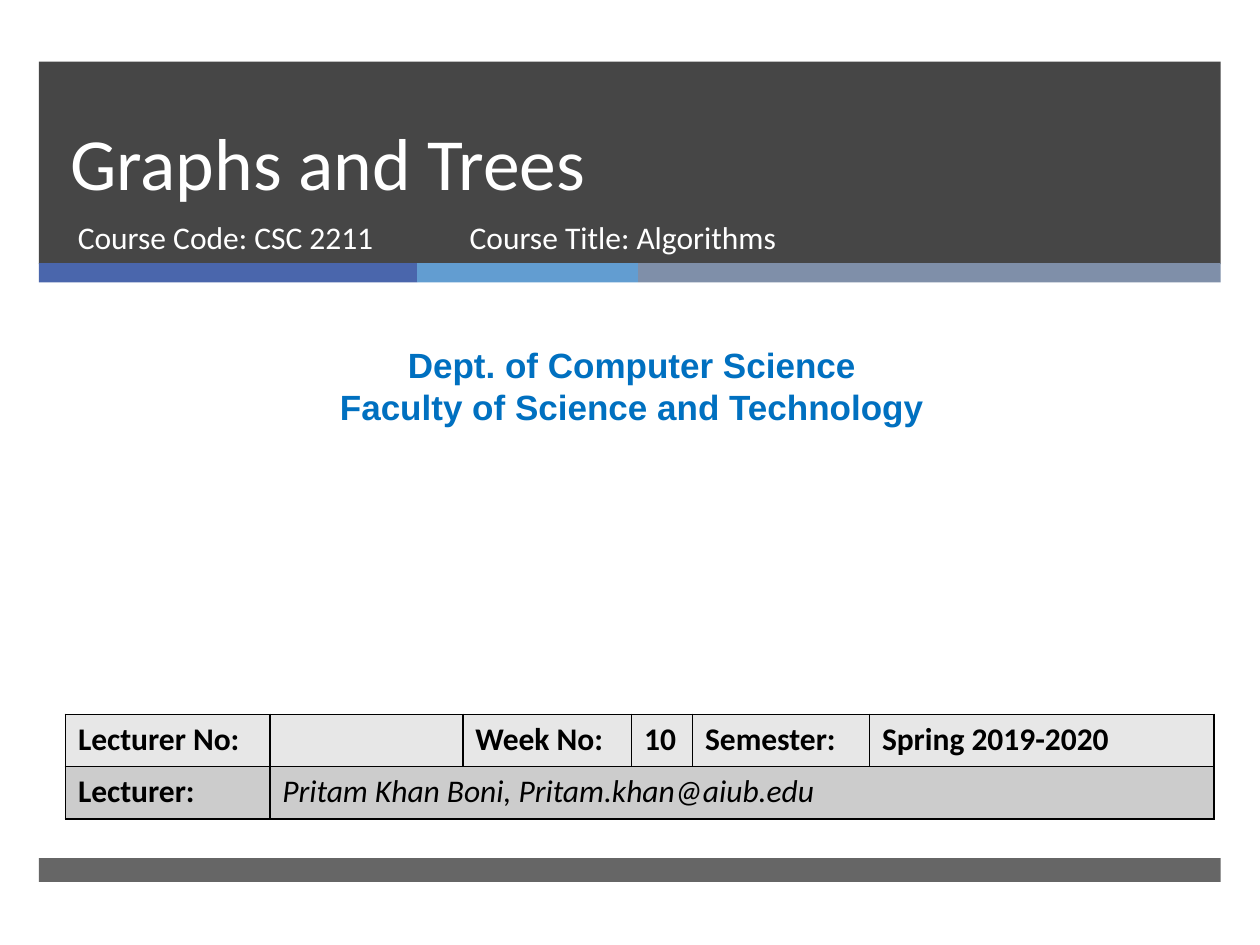
from dataclasses import dataclass

from lxml import etree
from pptx import Presentation
from pptx.dml.color import RGBColor
from pptx.enum import shapes, text
from pptx.oxml import ns
from pptx.util import Pt


@dataclass(frozen=True)
class Theme:
    """Colours, fonts and type sizes of the deck."""
    dark: str = "262626"
    accents: tuple = ("4A66AC", "629DD1", "7F8FA9")
    white: str = "FFFFFF"
    black: str = "000000"
    department: str = "0070C0"
    table_rows: tuple = ("E7E7E7", "CCCCCC")
    body_font: str = "Calibri"
    department_font: str = "Arial"
    title_size: float = 42
    title_leading: float = 46
    department_size: float = 20
    body_size: float = 18


THEME = Theme()


def add_band(slide, box, color, opacity=100):
    """Draw a plain filled rectangle, opacity in percent."""
    band = slide.shapes.add_shape(shapes.MSO_SHAPE.RECTANGLE, *map(Pt, box))
    band.shadow.inherit = False
    band.line.fill.background()
    band.fill.solid()
    band.fill.fore_color.rgb = RGBColor.from_string(color)
    if opacity < 100:
        tint = band.fill._xPr.find(".//" + ns.qn("a:srgbClr"))
        etree.SubElement(tint, ns.qn("a:alpha"), val=str(opacity * 1000))


def write(paragraph, words, color, size=THEME.body_size, font=THEME.body_font,
          bold=False, italic=False):
    """Add one styled run to a paragraph."""
    run = paragraph.add_run()
    run.text = words
    run.font.name, run.font.size = font, Pt(size)
    run.font.bold, run.font.italic = bold, italic
    run.font.color.rgb = RGBColor.from_string(color)


def add_frame(slide, box, anchor=text.MSO_ANCHOR.TOP):
    """Add a wrapping text box and return its text frame."""
    frame = slide.shapes.add_textbox(*map(Pt, box)).text_frame
    frame.word_wrap = True
    frame.vertical_anchor = anchor
    return frame


def add_header(slide, box):
    """Place the dark title block, its accent strip and the course details."""
    left, top, width, height = box
    add_band(slide, box, THEME.dark, opacity=85)
    strip_left = left
    for color, share in zip(THEME.accents, (0.32, 0.187, 0.493)):
        add_band(slide, (strip_left, top + height - 0.5, width * share, 11), color)
        strip_left += width * share

    details_top = top + 85.7
    title = add_frame(slide, (left + 10.8, top, 615, 85.7), text.MSO_ANCHOR.BOTTOM)
    title.paragraphs[0].line_spacing = Pt(THEME.title_leading)
    write(title.paragraphs[0], "Graphs and Trees", THEME.white, THEME.title_size)
    for detail, offset, detail_width in (("Course Code: CSC 2211", 15.1, 220),
                                         ("Course Title: Algorithms", 239, 328)):
        frame = add_frame(slide, (left + offset, details_top, detail_width, 38))
        write(frame.paragraphs[0], detail, THEME.white)


def add_department(slide, box):
    """Place the centred department and faculty names."""
    frame = add_frame(slide, box)
    names = ("Dept. of Computer Science", "Faculty of Science and Technology")
    for index, name in enumerate(names):
        line = frame.add_paragraph() if index else frame.paragraphs[0]
        line.alignment = text.PP_ALIGN.CENTER
        write(line, name, THEME.department, THEME.department_size,
              THEME.department_font, bold=True)


def style_cell(cell, color):
    """Fill a cell and rule its four sides."""
    properties = cell._tc.get_or_add_tcPr()
    for side in ("lnL", "lnR", "lnT", "lnB"):
        border = etree.SubElement(properties, ns.qn("a:" + side), w=str(Pt(1)))
        ink = etree.SubElement(border, ns.qn("a:solidFill"))
        etree.SubElement(ink, ns.qn("a:srgbClr"), val=THEME.black)
    cell.fill.solid()
    cell.fill.fore_color.rgb = RGBColor.from_string(color)


def add_lecture_table(slide, box):
    """Place the table of lecture, week, semester and lecturer."""
    rows = (("Lecturer No:", "", "Week No:", "10", "Semester:", "Spring 2019-2020"),
            ("Lecturer:", "Pritam Khan Boni, Pritam.khan@aiub.edu", "", "", "", ""))
    shares = (0.178, 0.168, 0.147, 0.053, 0.154, 0.3)
    table = slide.shapes.add_table(len(rows), len(shares), *map(Pt, box)).table
    for column, share in zip(table.columns, shares):
        column.width = Pt(box[2] * share)
    for row_index, (row, color) in enumerate(zip(rows, THEME.table_rows)):
        for column_index, words in enumerate(row):
            cell = table.cell(row_index, column_index)
            style_cell(cell, color)
            is_lecturer = row_index == 1 and column_index == 1
            if words:
                write(cell.text_frame.paragraphs[0], words, THEME.black,
                      bold=not is_lecturer, italic=is_lecturer)
    table.cell(1, 1).merge(table.cell(1, len(shares) - 1))


def main():
    """Build and save the title slide."""
    deck = Presentation()
    deck.slide_width, deck.slide_height = Pt(720), Pt(540)
    slide = deck.slides.add_slide(deck.slide_layouts[6])
    add_header(slide, (22.3, 35.2, 675.2, 115.7))
    add_band(slide, (22.3, 490.3, 675.2, 13.7), THEME.dark, opacity=70)
    add_department(slide, (5.8, 193, 710.6, 55.4))
    add_lecture_table(slide, (37.4, 408.2, 656.4, 59.8))
    deck.save("out.pptx")


if __name__ == "__main__":
    main()
